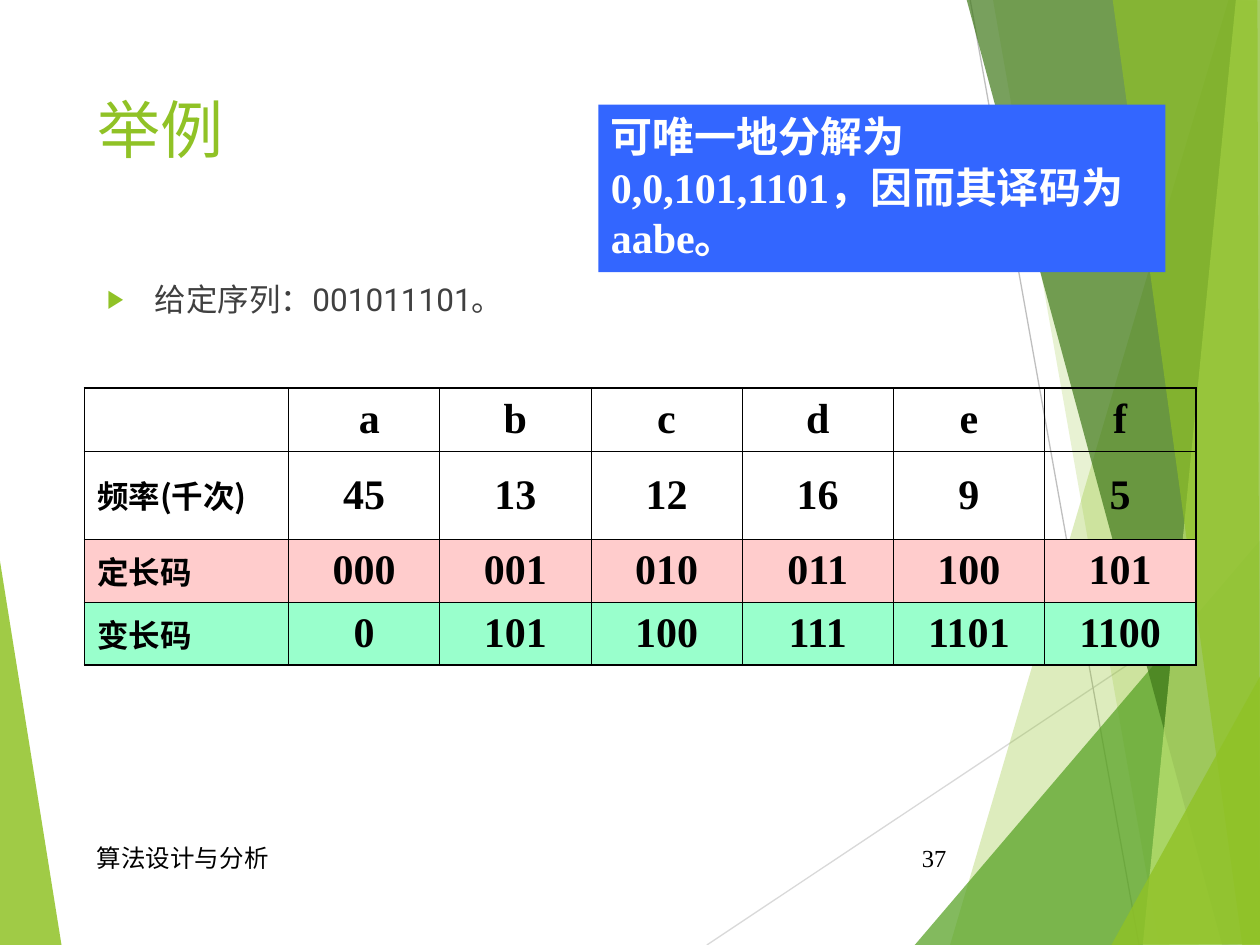
"""Builds a slide comparing fixed-length and variable-length codes."""
from typing import NamedTuple

from lxml.etree import SubElement
from pptx import Presentation
from pptx.dml.color import RGBColor
from pptx.enum.shapes import MSO_CONNECTOR as Connector, MSO_SHAPE as Shape
from pptx.enum.text import MSO_ANCHOR as Anchor, MSO_AUTO_SIZE as AutoSize, PP_ALIGN as Align
from pptx.oxml.ns import qn
from pptx.util import Inches, Pt

COLORS = {
    "lime": "90C226", "green": "54A021", "forest": "3F7819", "pale": "C0E474",
    "light_gray": "D9D9D9", "gray": "BFBFBF", "body": "404040", "black": "000000",
    "white": "FFFFFF", "blue": "3366FF", "pink": "FFCCCC", "mint": "99FFCC",
}
SANS, SERIF, CJK = "Roboto", "Times New Roman", "Noto Sans CJK SC"


class Facet(NamedTuple):
    color: str
    opacity: int
    points: list[tuple[float, float]]


class Ray(NamedTuple):
    color: str
    start: tuple[float, float]
    end: tuple[float, float]


class CodeRow(NamedTuple):
    height: float
    fill: str | None
    label: str
    values: list[str]


class Caption(NamedTuple):
    text: str
    left: float
    width: float
    align: Align


LEFT_FACET = Facet("lime", 85, [(-0.01, 4.39), (0.49, 7.51), (-0.01, 7.5)])
RAYS = [
    Ray("light_gray", (5.61, 7.5), (10.01, 4.57)),
    Ray("gray", (7.7, 0), (9.04, 7.5)),
]
RIGHT_FACETS = [
    Facet("lime", 30, [(9.75, 0), (7.54, 7.5), (10.02, 7.51), (10.01, 0.01)]),
    Facet("lime", 20, [(7.88, -0.01), (9.2, 7.5), (10.01, 7.5), (10.01, -0.01)]),
    Facet("green", 72, [(7.26, 7.5), (10, 4.29), (10.01, 7.5)]),
    Facet("forest", 70, [(7.67, -0.01), (9.7, 7.5), (10.01, 7.49), (10.01, -0.01)]),
    Facet("pale", 70, [(9.81, -0.01), (9.07, 7.5), (10.01, 7.5), (10, -0.01)]),
    Facet("lime", 65, [(8.83, -0.01), (9.86, 7.5), (10, 7.5), (9.98, -0.01)]),
    Facet("lime", 80, [(8.82, 7.5), (10.01, 5.35), (10.01, 7.49)]),
]
CODE_ROWS = [
    CodeRow(0.5, None, "", [" a", "b", "c", "d", "e", "f"]),
    CodeRow(0.7, None, "频率(千次)", ["45", "13", "12", "16", "9", "5"]),
    CodeRow(0.5, "pink", "定长码", ["000", "001", "010", "011", "100", "101"]),
    CodeRow(0.5, "mint", "变长码", ["0", "101", "100", "111", "1101", "1100"]),
]
CAPTIONS = [
    Caption("算法设计与分析", 0.67, 5.06, Align.LEFT),
    Caption("37", 7.05, 0.56, Align.RIGHT),
]


def rgb(color: str) -> RGBColor:
    return RGBColor.from_string(COLORS[color])


def write(frame, text: str, *, size: float, font: str = SERIF, color: str = "black",
          bold: bool = False, align: Align = Align.LEFT) -> None:
    paragraph = frame.paragraphs[0]
    paragraph.alignment = align
    paragraph.space_before = Pt(0)
    run = paragraph.add_run()
    run.text = text
    run.font.size = Pt(size)
    run.font.bold = bold
    run.font.color.rgb = rgb(color)
    run.font.name = font
    SubElement(run.font._element, qn("a:ea"), typeface=CJK)


def place(shape, left: float, top: float, width: float, height: float) -> None:
    shape.left, shape.top = Inches(left), Inches(top)
    shape.width, shape.height = Inches(width), Inches(height)


def fit_frame(frame, anchor: Anchor) -> None:
    frame.word_wrap = True
    frame.auto_size = AutoSize.NONE
    frame.vertical_anchor = anchor


def draw_facet(slide, facet: Facet) -> None:
    corners = [(Inches(x), Inches(y)) for x, y in facet.points]
    builder = slide.shapes.build_freeform(*corners[0])
    builder.add_line_segments(corners[1:], close=True)
    outline = builder.convert_to_shape()
    outline.shadow.inherit = False
    outline.fill.solid()
    outline.fill.fore_color.rgb = rgb(facet.color)
    outline.line.fill.background()
    tint = outline.element.spPr.find(f"{qn('a:solidFill')}/{qn('a:srgbClr')}")
    SubElement(tint, qn("a:alpha"), val=str(facet.opacity * 1000))


def draw_ray(slide, ray: Ray) -> None:
    ends = [Inches(value) for value in (*ray.start, *ray.end)]
    line = slide.shapes.add_connector(Connector.STRAIGHT, *ends)
    line.line.color.rgb = rgb(ray.color)
    line.line.width = Pt(0.75)
    SubElement(line.element.spPr, qn("a:effectLst"))


def add_bullet(paragraph) -> None:
    properties = paragraph._p.get_or_add_pPr()
    properties.set("marL", str(Inches(0.38)))
    properties.set("indent", str(Inches(-0.38)))
    tint = SubElement(properties, qn("a:buClr"))
    SubElement(tint, qn("a:srgbClr"), val=COLORS["lime"])
    SubElement(properties, qn("a:buSzPct"), val="80000")
    SubElement(properties, qn("a:buChar"), char="▶")


def set_borders(cell, outer: dict[str, bool]) -> None:
    properties = cell._tc.get_or_add_tcPr()
    for side in "LRTB":
        width = Pt(1.08 if outer[side] else 0.45)
        border = SubElement(properties, qn(f"a:ln{side}"), w=str(int(width)))
        fill = SubElement(border, qn("a:solidFill"))
        SubElement(fill, qn("a:srgbClr"), val=COLORS["black"])


def draw_code_table(slide, rows: list[CodeRow]) -> None:
    widths = [1.62] + [1.2] * len(rows[0].values)
    box = [Inches(v) for v in (0.67, 3.08, sum(widths), sum(r.height for r in rows))]
    table = slide.shapes.add_table(len(rows), len(widths), *box).table
    table.first_row = table.horz_banding = False
    for column, width in zip(table.columns, widths):
        column.width = Inches(width)
    for i, row in enumerate(rows):
        table.rows[i].height = Inches(row.height)
        for j, text in enumerate([row.label, *row.values]):
            cell = table.cell(i, j)
            cell.vertical_anchor = Anchor.MIDDLE
            set_borders(cell, {"L": j == 0, "R": j == len(widths) - 1,
                               "T": i == 0, "B": i == len(rows) - 1})
            if row.fill:
                cell.fill.solid()
                cell.fill.fore_color.rgb = rgb(row.fill)
            else:
                cell.fill.background()
            if j == 0 and text:
                write(cell.text_frame, text, size=18, font=CJK, bold=True)
            elif text:
                write(cell.text_frame, text, size=24, bold=True, align=Align.CENTER)


def main() -> None:
    deck = Presentation()
    deck.slide_width, deck.slide_height = Inches(10), Inches(7.5)
    slide = deck.slides.add_slide(deck.slide_layouts[1])
    title, sequence = slide.placeholders

    draw_facet(slide, LEFT_FACET)
    for ray in RAYS:
        draw_ray(slide, ray)
    for facet in RIGHT_FACETS:
        draw_facet(slide, facet)

    for placeholder in (title, sequence):
        slide.shapes.element.append(placeholder.element)
        fit_frame(placeholder.text_frame, Anchor.TOP)
    place(title, 0.67, 0.67, 6.94, 1.44)
    write(title.text_frame, "举例", size=36, font=SANS, color="lime")
    place(sequence, 0.75, 2.17, 8.5, 0.75)
    add_bullet(sequence.text_frame.paragraphs[0])
    write(sequence.text_frame, "给定序列：001011101。", size=18, font=SANS, color="body")

    for caption in CAPTIONS:
        box = [Inches(v) for v in (caption.left, 6.61, caption.width, 0.4)]
        frame = slide.shapes.add_textbox(*box).text_frame
        fit_frame(frame, Anchor.MIDDLE)
        write(frame, caption.text, size=14, align=caption.align)

    draw_code_table(slide, CODE_ROWS)

    answer = slide.shapes.add_shape(
        Shape.RECTANGLE, Inches(4.75), Inches(0.83), Inches(4.5), Inches(1.33))
    answer.shadow.inherit = False
    answer.fill.solid()
    answer.fill.fore_color.rgb = rgb("blue")
    answer.line.fill.background()
    fit_frame(answer.text_frame, Anchor.TOP)
    write(answer.text_frame, "可唯一地分解为0,0,101,1101，因而其译码为aabe。",
          size=24, color="white", bold=True)
    deck.save("out.pptx")


if __name__ == "__main__":
    main()
